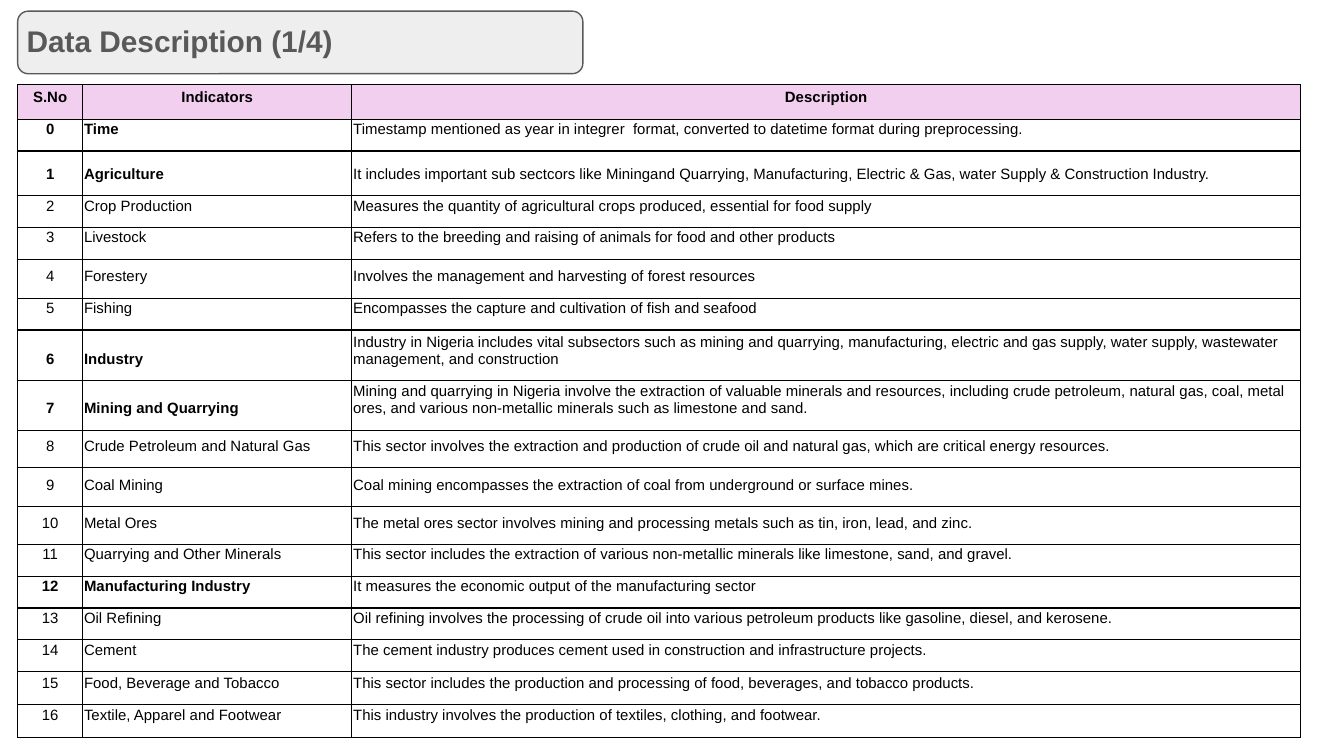
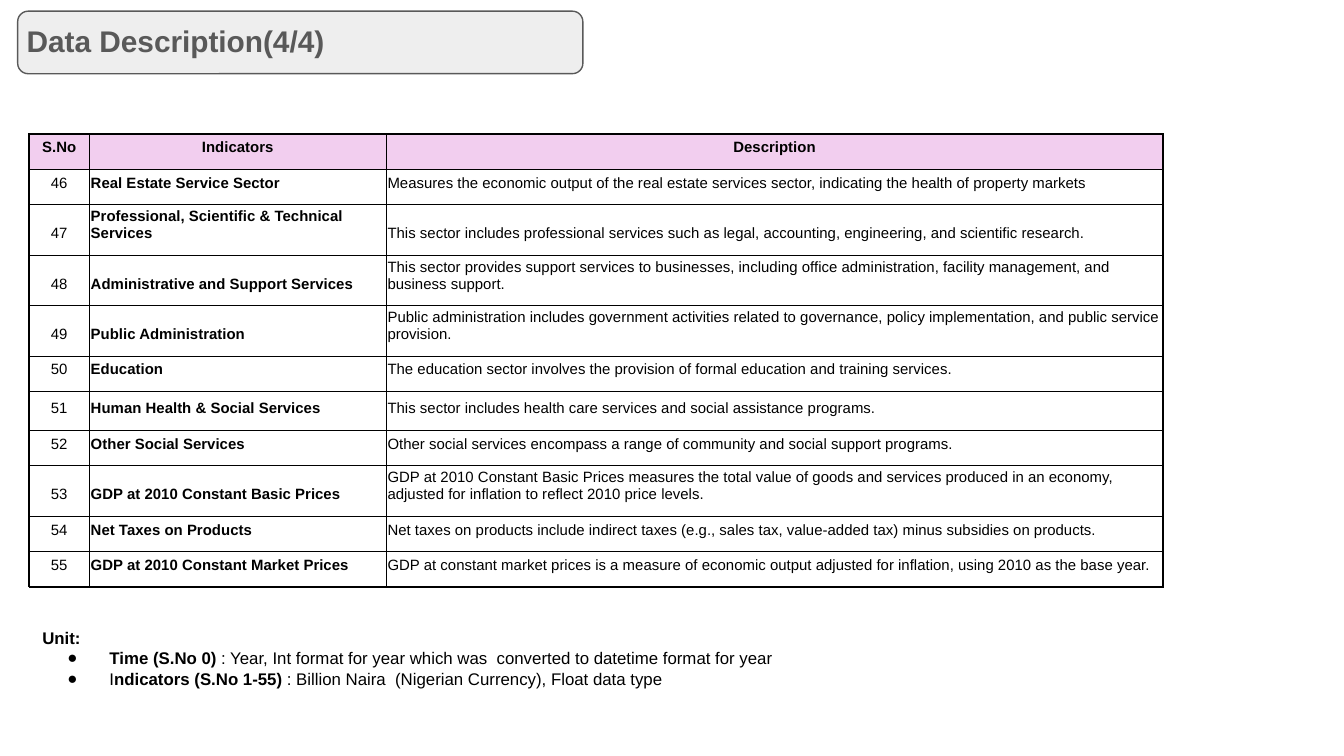
from lxml.etree import SubElement
from pptx import Presentation
from pptx.dml.color import RGBColor
from pptx.enum.shapes import MSO_SHAPE
from pptx.enum.text import MSO_ANCHOR, MSO_AUTO_SIZE, PP_ALIGN
from pptx.oxml.ns import qn
from pptx.util import Pt

# Shared style
FONT = "Arial"
BLACK = "000000"
GREY = "595959"
PANEL = "EEEEEE"
HEADER = "F2CEEF"
HEADINGS = ("S.No", "Indicators", "Description")
HEADING_SPACING = 1.15
TABLE_FRAME = 236.2
# Top and bottom cell margins
TIGHT_MARGINS = (0.4, 7.05)
LOOSE_MARGINS = (0.75, 7.15)

# Each row: height, number, indicator, description
FIRST_HEADER_HEIGHT = 17.3
FIRST_ROWS = [
    (14.4, "0", "Time",
     "Timestamp mentioned as year in integrer  format, converted to datetime format during preprocessing."),
    (23.8, "1", "Agriculture",
     "It includes important sub sectcors like Miningand Quarrying, Manufacturing, Electric & Gas, "
     "water Supply & Construction Industry."),
    (17.2, "2", "Crop Production",
     "Measures the quantity of agricultural crops produced, essential for food supply"),
    (15.8, "3", "Livestock",
     "Refers to the breeding and raising of animals for food and other products"),
    (20.9, "4", "Forestery",
     "Involves the management and harvesting of forest resources"),
    (15.1, "5", "Fishing",
     "Encompasses the capture and cultivation of fish and seafood"),
    (27, "6", "Industry",
     "Industry in Nigeria includes vital subsectors such as mining and quarrying, manufacturing, "
     "electric and gas supply, water supply, wastewater management, and construction"),
    (23, "7", "Mining and Quarrying",
     "Mining and quarrying in Nigeria involve the extraction of valuable minerals and resources, "
     "including crude petroleum, natural gas, coal, metal ores, and various non-metallic minerals "
     "such as limestone and sand."),
    (20.2, "8", "Crude Petroleum and Natural Gas",
     "This sector involves the extraction and production of crude oil and natural gas, "
     "which are critical energy resources."),
    (20.9, "9", "Coal Mining",
     "Coal mining encompasses the extraction of coal from underground or surface mines."),
    (20.2, "10", "Metal Ores",
     "The metal ores sector involves mining and processing metals such as tin, iron, lead, and zinc."),
    (15.8, "11", "Quarrying and Other Minerals",
     "This sector includes the extraction of various non-metallic minerals like limestone, sand, and gravel."),
    (15.1, "12", "Manufacturing Industry",
     "It measures the economic output of the manufacturing sector"),
    (13, "13", "Oil Refining",
     "Oil refining involves the processing of crude oil into various petroleum products "
     "like gasoline, diesel, and kerosene."),
    (15.1, "14", "Cement",
     "The cement industry produces cement used in construction and infrastructure projects."),
    (17.8, "15", "Food, Beverage and Tobacco",
     "This sector includes the production and processing of food, beverages, and tobacco products."),
    (17.3, "16", "Textile, Apparel and Footwear",
     "This industry involves the production of textiles, clothing, and footwear."),
]
MAIN_SECTORS = {"0", "1", "6", "7", "12"}

LAST_HEADER_HEIGHT = 18
LAST_ROWS = [
    (18, "46", "Real Estate Service Sector",
     "Measures the economic output of the real estate services sector, "
     "indicating the health of property markets"),
    (21.6, "47", "Professional, Scientific & Technical Services",
     "This sector includes professional services such as legal, accounting, engineering, "
     "and scientific research."),
    (24.5, "48", "Administrative and Support Services",
     "This sector provides support services to businesses, including office administration, "
     "facility management, and business support."),
    (24.5, "49", "Public Administration",
     "Public administration includes government activities related to governance, "
     "policy implementation, and public service provision."),
    (18, "50", "Education",
     "The education sector involves the provision of formal education and training services."),
    (20.9, "51", "Human Health & Social Services",
     "This sector includes health care services and social assistance programs."),
    (18.7, "52", "Other Social Services",
     "Other social services encompass a range of community and social support programs."),
    (17.3, "53", "GDP at 2010 Constant Basic Prices",
     "GDP at 2010 Constant Basic Prices measures the total value of goods and services produced "
     "in an economy, adjusted for inflation to reflect 2010 price levels."),
    (17.3, "54", "Net Taxes on Products",
     "Net taxes on products include indirect taxes (e.g., sales tax, value-added tax) "
     "minus subsidies on products."),
    (17.3, "55", "GDP at 2010 Constant Market Prices",
     "GDP at constant market prices is a measure of economic output adjusted for inflation, "
     "using 2010 as the base year."),
]

# Unit notes: spans of (text, bold)
UNIT_NOTES = [
    [("Time (S.No 0) ", True),
     (": Year, Int format for year which was  converted to datetime format for year", False)],
    [("I", False), ("ndicators (S.No 1-55)", True),
     (" : Billion Naira  (Nigerian Currency), Float data type", False)],
]


def color(hex_code):
    return RGBColor.from_string(hex_code)


def style_font(font, size, bold, hex_code=BLACK):
    font.name = FONT
    font.size = Pt(size)
    font.bold = bold
    font.color.rgb = color(hex_code)


def add_span(para, text, size, bold, hex_code=BLACK):
    span = para.add_run()
    span.text = text
    style_font(span.font, size, bold, hex_code)


def add_text_box(page, left, top, width, height):
    box = page.shapes.add_textbox(Pt(left), Pt(top), Pt(width), Pt(height))
    frame = box.text_frame
    frame.word_wrap = True
    frame.margin_left = frame.margin_right = Pt(7.2)
    frame.margin_top = frame.margin_bottom = Pt(7.2)
    return frame


def add_title(page, text, width):
    panel = page.shapes.add_shape(
        MSO_SHAPE.ROUNDED_RECTANGLE, Pt(9.5), Pt(6), Pt(302.8), Pt(33.5))
    panel.shadow.inherit = False
    panel.fill.solid()
    panel.fill.fore_color.rgb = color(PANEL)
    panel.line.color.rgb = color(GREY)
    panel.line.width = Pt(0.75)
    frame = add_text_box(page, 7.2, 5, width, 33.8)
    frame.auto_size = MSO_AUTO_SIZE.SHAPE_TO_FIT_TEXT
    add_span(frame.paragraphs[0], text, 16, True, GREY)


def add_borders(cell):
    properties = cell._tc.get_or_add_tcPr()
    for side in ("a:lnL", "a:lnR", "a:lnT", "a:lnB"):
        line = SubElement(properties, qn(side), w=str(Pt(0.75)))
        fill = SubElement(line, qn("a:solidFill"))
        SubElement(fill, qn("a:srgbClr"), val=BLACK)


def fill_cell(cell, text, margins, bold, centered, spacing=None, fill=None):
    cell.vertical_anchor = MSO_ANCHOR.BOTTOM
    cell.margin_left = cell.margin_right = Pt(0.75)
    cell.margin_top, cell.margin_bottom = (Pt(margin) for margin in margins)
    add_borders(cell)
    if fill:
        cell.fill.solid()
        cell.fill.fore_color.rgb = color(fill)
    else:
        cell.fill.background()
    para = cell.text_frame.paragraphs[0]
    para.alignment = PP_ALIGN.CENTER if centered else PP_ALIGN.LEFT
    if spacing:
        para.line_spacing = spacing
    add_span(para, text, 8, bold)


def add_indicator_table(page, left, top, widths, header_height, rows, margins,
                        bold_numbers, bold_names, number_spacing=None, spaced_names=()):
    holder = page.shapes.add_table(
        len(rows) + 1, len(widths), Pt(left), Pt(top), Pt(TABLE_FRAME), Pt(TABLE_FRAME))
    table = holder.table
    table.horz_banding = False
    for column, width in zip(table.columns, widths):
        column.width = Pt(width)

    table.rows[0].height = Pt(header_height)
    for cell, heading in zip(table.rows[0].cells, HEADINGS):
        fill_cell(cell, heading, margins, True, True, HEADING_SPACING, HEADER)

    for index, (height, number, name, description) in enumerate(rows, start=1):
        table.rows[index].height = Pt(height)
        number_cell, name_cell, description_cell = table.rows[index].cells
        fill_cell(number_cell, number, margins, number in bold_numbers, True, number_spacing)
        fill_cell(name_cell, name, margins, number in bold_names, False,
                  HEADING_SPACING if number in spaced_names else None)
        fill_cell(description_cell, description, margins, False, False)
    # Setting rows and columns resizes the frame
    holder.width = holder.height = Pt(TABLE_FRAME)


def add_bullet(para):
    properties = para._p.get_or_add_pPr()
    properties.set("marL", str(Pt(36)))
    properties.set("indent", str(Pt(-22.5)))
    bullet_color = SubElement(properties, qn("a:buClr"))
    SubElement(bullet_color, qn("a:srgbClr"), val=BLACK)
    SubElement(properties, qn("a:buFont"), typeface=FONT)
    SubElement(properties, qn("a:buChar"), char="●")


def add_unit_notes(page):
    frame = add_text_box(page, 15.6, 329.2, 640, 67.7)
    add_span(frame.paragraphs[0], "Unit:", 9, True)
    for note in UNIT_NOTES:
        para = frame.add_paragraph()
        add_bullet(para)
        for text, bold in note:
            add_span(para, text, 9, bold)


def main():
    deck = Presentation()
    deck.slide_width, deck.slide_height = Pt(720), Pt(405)
    blank = deck.slide_layouts[6]

    # Indicators 0 to 16
    page = deck.slides.add_slide(blank)
    add_title(page, "Data Description (1/4)", 283)
    add_indicator_table(page, 9.5, 45.4, (34.8, 144.2, 508.3), FIRST_HEADER_HEIGHT, FIRST_ROWS,
                        TIGHT_MARGINS, MAIN_SECTORS, MAIN_SECTORS)

    # Indicators 46 to 55 and units
    page = deck.slides.add_slide(blank)
    add_title(page, "Data Description(4/4)", 304.5)
    add_indicator_table(page, 15.6, 71.8, (32.3, 159, 416.2), LAST_HEADER_HEIGHT, LAST_ROWS,
                        LOOSE_MARGINS, (), {row[1] for row in LAST_ROWS}, HEADING_SPACING, {"53"})
    add_unit_notes(page)

    deck.save("out.pptx")


if __name__ == "__main__":
    main()
